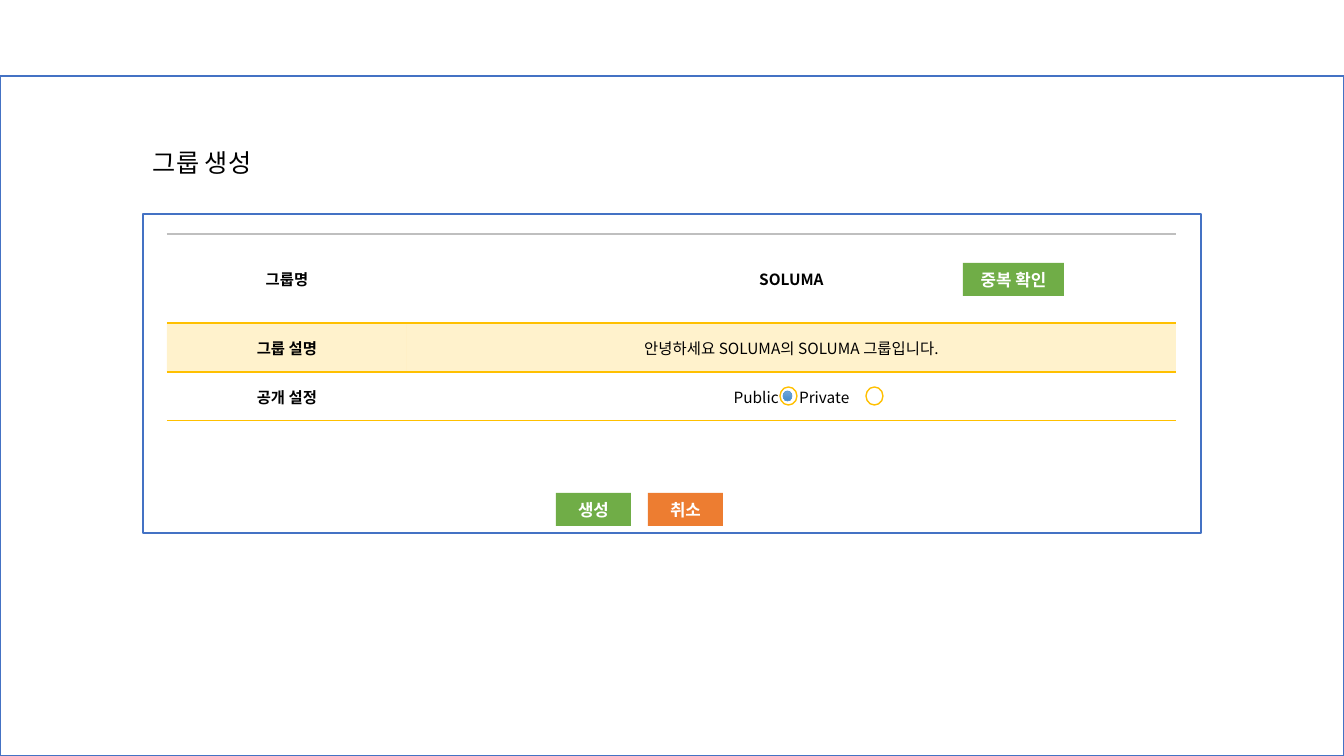
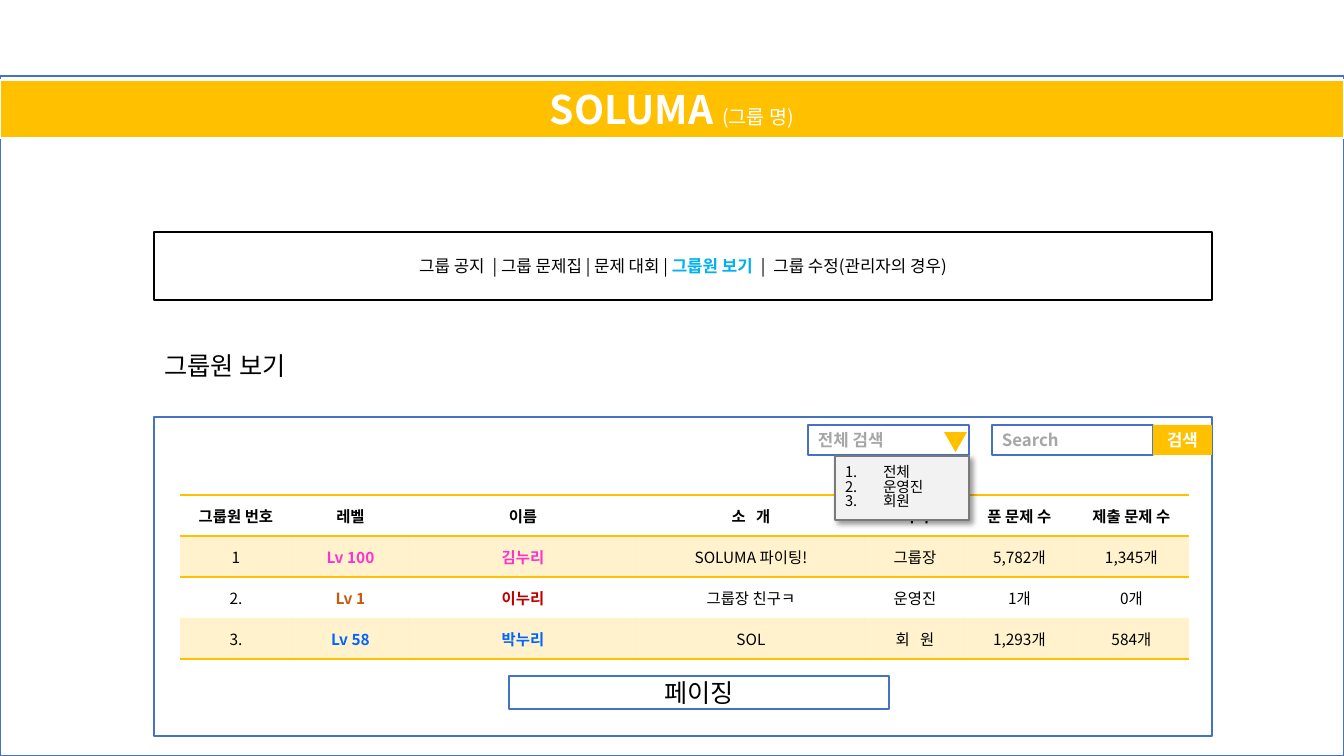
from dataclasses import dataclass
from lxml.etree import SubElement
from pptx import Presentation
from pptx.dml.color import RGBColor
from pptx.enum.shapes import MSO_SHAPE
from pptx.enum.text import MSO_ANCHOR, MSO_AUTO_SIZE, PP_ALIGN
from pptx.oxml.ns import qn
from pptx.util import Emu, Pt


@dataclass(frozen=True)
class Theme:
    """Colours, font and type sizes of the deck."""
    font: str = "Noto Sans CJK KR"
    ink: str = "000000"
    paper: str = "FFFFFF"
    blue: str = "4472C4"
    gold: str = "FFC000"
    green: str = "70AD47"
    orange: str = "ED7D31"
    sky: str = "00B0F0"
    hint: str = "A6A6A6"
    rule: str = "BFBFBF"
    menu: str = "F2F2F2"
    edge: str = "7A7A7A"
    dot: str = "5B9BD5"
    shine: tuple = ("71A6DB", "448ACA")
    ranks: tuple = ("FF33CC", "C55A11", "0066FF")
    names: tuple = ("FF33CC", "C00000", "0066FF")
    brand: float = 28
    head: float = 18
    sub: float = 14
    body: float = 12
    cell: float = 11
    small: float = 10.5


T = Theme()
SCALE = 914400 / 100.8
WIDE, HIGH = 1344, 756
PLAIN = "{2D5ABB26-0587-4C30-8999-92F81FD0307C}"
BOX = MSO_SHAPE.RECTANGLE
BRAND = "SOLUMA"


def px(num):
    """Turn pixels into EMU."""
    return Emu(round(num * SCALE))


def rgb(code):
    """Turn a hex code into a colour."""
    return RGBColor.from_string(code)


def gap(size):
    """Return one space widened by a number of points."""
    return " ", {"spc": size}


def write(frame, *lines, size=T.body, color=T.ink, bold=False, align=PP_ALIGN.CENTER,
          anchor=MSO_ANCHOR.MIDDLE, pad=0, space=None, number=False):
    """Fill a text frame; a line is a string or a list of (text, format) parts."""
    frame.word_wrap = True
    frame.auto_size = MSO_AUTO_SIZE.NONE
    frame.vertical_anchor = anchor
    frame.margin_left = frame.margin_right = px(10)
    frame.margin_top = frame.margin_bottom = px(pad)
    for row, line in enumerate(lines):
        para = frame.add_paragraph() if row else frame.paragraphs[0]
        para.alignment = align
        if space:
            para.line_spacing = space
        if number:
            props = para._p.get_or_add_pPr()
            props.set("marL", str(px(38)))
            props.set("indent", str(-px(38)))
            SubElement(props, qn("a:buFont")).set("typeface", T.font)
            SubElement(props, qn("a:buAutoNum")).set("type", "arabicPeriod")
        for text, form in [(line, {})] if isinstance(line, str) else line:
            run = para.add_run()
            run.text = text
            run.font.name = T.font
            run.font.size = Pt(form.get("size", size))
            run.font.bold = form.get("bold", bold)
            run.font.color.rgb = rgb(form.get("color", color))
            props = run._r.get_or_add_rPr()
            SubElement(props, qn("a:ea")).set("typeface", T.font)
            if "spc" in form:
                props.set("spc", str(form["spc"] * 100))


def draw(slide, box, kind=BOX, fill=T.paper, line=None, width=1):
    """Add a flat preset shape."""
    shape = slide.shapes.add_shape(kind, *map(px, box))
    shape.shadow.inherit = False
    shape.fill.solid()
    shape.fill.fore_color.rgb = rgb(fill)
    if line:
        shape.line.color.rgb = rgb(line)
        shape.line.width = Pt(width)
    else:
        shape.line.fill.background()
    return shape


def label(slide, box, text, fill=T.paper, line=None, **form):
    """Add a box with text in it."""
    shape = draw(slide, box, fill=fill, line=line)
    write(shape.text_frame, text, **form)
    return shape


def button(slide, box, text, fill):
    """Add a filled button with white bold text."""
    label(slide, box, text, fill, color=T.paper, bold=True)


def border(cell, side, color):
    """Draw one horizontal edge of a cell."""
    line = SubElement(cell._tc.get_or_add_tcPr(), qn("a:" + side))
    line.set("w", str(Pt(1)))
    SubElement(SubElement(line, qn("a:solidFill")), qn("a:srgbClr")).set("val", color)


def tint(cell):
    """Fill a cell with pale gold."""
    cell.fill.solid()
    cell.fill.fore_color.rgb = rgb(T.gold)
    for tone in cell._tc.tcPr.find(qn("a:solidFill")):
        SubElement(tone, qn("a:alpha")).set("val", "20000")


def grid(slide, left, top, cols, rows, cells, cap):
    """Add a table with gold rules and tinted odd rows; cells are (line, format)."""
    frame = slide.shapes.add_table(len(rows), len(cols), px(left), px(top),
                                   px(sum(cols)), px(sum(rows)))
    table = frame.table
    table.first_row = table.horz_banding = False
    for style in frame.element.iter(qn("a:tableStyleId")):
        style.text = PLAIN
    for col, size in zip(table.columns, cols):
        col.width = px(size)
    last = len(rows) - 1
    for row, size in enumerate(rows):
        table.rows[row].height = px(size)
        for col, (line, form) in enumerate(cells[row]):
            cell = table.cell(row, col)
            write(cell.text_frame, line, size=T.cell, **form)
            cell.vertical_anchor = MSO_ANCHOR.MIDDLE
            cell.margin_top = cell.margin_bottom = px(5)
            if row == 0:
                border(cell, "lnT", cap)
            if row == 1:
                border(cell, "lnT", T.gold)
            if row in (0, last):
                border(cell, "lnB", T.gold)
            if row % 2:
                tint(cell)
            else:
                cell.fill.background()


def section(slide, left, top, text):
    """Place the title and the panel below it."""
    title = slide.shapes.title
    title.left, title.top, title.width, title.height = map(px, (left, top - 68, 1058, 102))
    write(title.text_frame, text, size=T.head, align=PP_ALIGN.LEFT,
          anchor=MSO_ANCHOR.TOP, pad=5, space=0.9)
    draw(slide, (left, top, 1058, 319), line=T.blue)


def radio(slide, left, top, picked):
    """Add a radio button."""
    draw(slide, (left, top, 17, 18), MSO_SHAPE.OVAL, line=T.gold)
    if picked:
        dot = draw(slide, (left + 3, top + 4, 9, 10), MSO_SHAPE.OVAL, line=T.dot, width=0.5)
        dot.fill.gradient()
        dot.fill.gradient_angle = 270
        for stop, tone in zip(dot.fill.gradient_stops, T.shine):
            stop.color.rgb = rgb(tone)


def form(slide, left, top):
    """Place the form that creates a group."""
    section(slide, left, top, "그룹 생성")
    bold = {"bold": True}
    cells = [
        [("그룹명", bold), (BRAND, bold)],
        [("그룹 설명", bold), (f"안녕하세요 {BRAND}의 {BRAND} 그룹입니다.", {})],
        [("공개 설정", bold), ([("Public", {}), gap(12), ("Private", {})], {})],
    ]
    grid(slide, left + 24, top + 20, (240, 769), (89, 49, 49), cells, T.rule)
    for spot, (text, fill) in enumerate((("생성", T.green), ("취소", T.orange))):
        button(slide, (left + 413 + 92 * spot, top + 279, 75, 33), text, fill)
    button(slide, (left + 820, top + 49, 101, 33), "중복 확인", T.green)
    for spot, picked in enumerate((True, False)):
        radio(slide, left + 637 + 86 * spot, top + 173, picked)


def banner(slide, top):
    """Place the band with the group name."""
    band = draw(slide, (0, top, WIDE, 58), fill=T.gold, line=T.paper, width=1.5)
    parts = [(BRAND + " ", {"size": T.brand, "bold": True}), ("(그룹 명)", {})]
    write(band.text_frame, parts, size=T.sub, color=T.paper)


def menu(slide, left, top):
    """Place the group menu with the current page lit."""
    parts = [("그룹 공지", {}), gap(3), ("| 그룹 문제집 | 문제 대회 | ", {}),
             ("그룹원 보기", {"color": T.sky, "bold": True}), gap(3),
             ("|", {}), gap(3), ("그룹 수정(관리자의 경우)", {})]
    label(slide, (left, top, 1058, 68), parts, line=T.ink)


def search(slide, left, top):
    """Place the filter, its open list and the search field."""
    hint = {"line": T.blue, "color": T.hint, "bold": True, "align": PP_ALIGN.LEFT}
    label(slide, (left + 184, top, 161, 30), "Search", **hint)
    button(slide, (left + 345, top, 59, 30), "검색", T.gold)
    label(slide, (left, top, 161, 30), "전체 검색", **hint)
    arrow = draw(slide, (left + 136, top + 7, 23, 20), MSO_SHAPE.ISOSCELES_TRIANGLE, T.gold)
    arrow.rotation = 180
    drop = draw(slide, (left + 27, top + 31, 134, 64), fill=T.menu, line=T.edge)
    write(drop.text_frame, "전체", "운영진", "회원", size=T.small,
          align=PP_ALIGN.LEFT, space=0.82, number=True)
    glow = SubElement(drop.element.spPr.find(qn("a:effectLst")), qn("a:outerShdw"),
                      blurRad=str(Pt(4)), dist=str(Pt(3)), dir="2700000",
                      algn="tl", rotWithShape="0")
    tone = SubElement(glow, qn("a:srgbClr"), val=T.ink)
    SubElement(tone, qn("a:alpha"), val="40000")


def roster(slide, left, top):
    """Place the list of group members."""
    section(slide, left, top, "그룹원 보기")
    label(slide, (left + 355, top + 259, 380, 33), "페이징", line=T.blue, size=T.head)
    heads = ("그룹원 번호", "레벨", "이름", [("소", {}), gap(5), ("개", {})],
             "직책", "푼 문제 수", "제출 문제 수")
    people = (
        ("1", "Lv 100", "김누리", f"{BRAND} 파이팅!", "그룹장", "5,782개", "1,345개"),
        ("2.", "Lv 1", "이누리", "그룹장 친구ㅋ", "운영진", "1개", "0개"),
        ("3.", "Lv 58", "박누리", "SOL", [("회", {}), gap(5), ("원", {})],
         "1,293개", "584개"),
    )
    cells = [[(head, {"bold": True}) for head in heads]]
    for person, rank, name in zip(people, T.ranks, T.names):
        tones = {1: rank, 2: name}
        cells.append([(text, {"color": tones[col], "bold": True} if col in tones else {})
                      for col, text in enumerate(person)])
    grid(slide, left + 26, top + 78, (112, 117, 228, 228, 100, 109, 115), (41,) * 4,
         cells, T.gold)
    search(slide, left + 654, top + 8)


def build():
    """Build and save the deck."""
    deck = Presentation()
    deck.slide_width, deck.slide_height = px(WIDE), px(HIGH)
    layout = deck.slide_layouts[5]
    first, second = (deck.slides.add_slide(layout) for _ in range(2))
    page = draw(first, (0, 76, WIDE, 680), line=T.blue)
    layout.shapes.element.insert(2, page.element)
    form(first, 143, 214)
    banner(second, 80)
    menu(second, 154, 232)
    roster(second, 154, 417)
    deck.save("out.pptx")


build()
